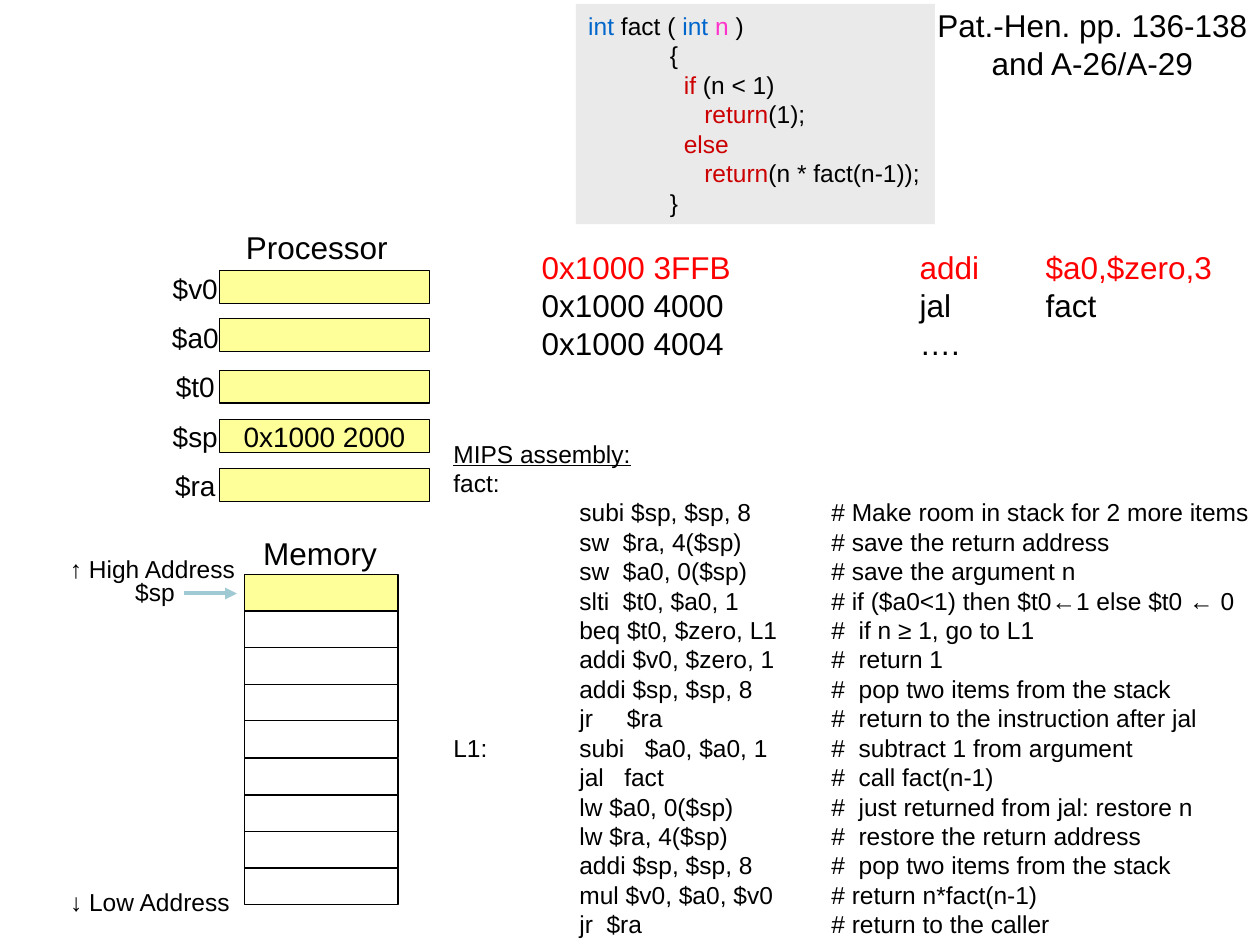
from dataclasses import dataclass

from lxml import etree
from pptx import Presentation
from pptx.dml.color import RGBColor
from pptx.enum.shapes import MSO_CONNECTOR, MSO_SHAPE
from pptx.enum.text import MSO_ANCHOR, PP_ALIGN
from pptx.oxml.ns import qn
from pptx.shapes.autoshape import Shape
from pptx.util import Emu, Pt

RECTANGLE = MSO_SHAPE.RECTANGLE
STRAIGHT = MSO_CONNECTOR.STRAIGHT
MIDDLE = MSO_ANCHOR.MIDDLE
LEFT, CENTER = PP_ALIGN.LEFT, PP_ALIGN.CENTER

EMU_PER_PX = 9144  # 100 px to the inch
FONT = "Arial"
TAB_STOPS = (100, 200, 300, 400)
COLORS = {
    "black": "000000",
    "white": "FFFFFF",
    "yellow": "FFFF99",
    "gray": "EAEAEA",
    "current": "FF0000",
    "type": "0066CC",
    "parameter": "FF33CC",
    "keyword": "CC0000",
    "arrow": "9FCAD3",
}


@dataclass(frozen=True)
class Box:
    left: int
    top: int
    width: int
    height: int


@dataclass(frozen=True)
class Register:
    name: str
    top: int
    value: str = ""


@dataclass(frozen=True)
class Span:
    text: str
    color: str = "black"


REGISTERS = [
    Register("$v0", 215),
    Register("$a0", 253),
    Register("$t0", 294),
    Register("$sp", 333, "0x1000 2000"),
    Register("$ra", 372),
]
NAME_TOP, NAME_STEP = 210, 39.2
CELL_COUNT, CELL_TOP, CELL_STEP = 9, 456, 29.125

CALLER = """0x1000 3FFB\t\taddi\t$a0,$zero,3
0x1000 4000\t\tjal\tfact
0x1000 4004\t\t…."""

ASSEMBLY = """MIPS assembly:
fact:
\tsubi $sp, $sp, 8 \t# Make room in stack for 2 more items
\tsw  $ra, 4($sp)\t# save the return address
\tsw  $a0, 0($sp)\t# save the argument n
\tslti  $t0, $a0, 1\t# if ($a0<1) then $t0←1 else $t0 ← 0
\tbeq $t0, $zero, L1\t#  if n ≥ 1, go to L1
\taddi $v0, $zero, 1\t#  return 1
\taddi $sp, $sp, 8\t#  pop two items from the stack
\tjr     $ra\t#  return to the instruction after jal
L1:\tsubi   $a0, $a0, 1\t#  subtract 1 from argument
\tjal   fact\t#  call fact(n-1)
\tlw $a0, 0($sp)\t#  just returned from jal: restore n
\tlw $ra, 4($sp)\t#  restore the return address
\taddi $sp, $sp, 8\t#  pop two items from the stack
\tmul $v0, $a0, $v0\t# return n*fact(n-1)
\tjr  $ra\t# return to the caller"""
ASSEMBLY_TAB_STOPS = (100, 300)
CALLER_TAB_STOPS = (200, 300, 400)

C_CODE = [
    [Span("int", "type"), Span(" fact ( "), Span("int ", "type"),
     Span("n", "parameter"), Span(" )")],
    [Span("            {")],
    [Span("              "), Span("if", "keyword"), Span(" (n < 1)")],
    [Span("                 "), Span("return", "keyword"), Span("(1);")],
    [Span("              "), Span("else", "keyword")],
    [Span("                 "), Span("return", "keyword"),
     Span("(n * fact(n-1));")],
    [Span("            }")],
]


def px(length: float) -> Emu:
    return Emu(round(length * EMU_PER_PX))


def rgb(color: str) -> RGBColor:
    return RGBColor.from_string(COLORS[color])


def place(box: Box) -> tuple[Emu, Emu, Emu, Emu]:
    return px(box.left), px(box.top), px(box.width), px(box.height)


def format_run(run, size: int, color: str) -> None:
    run.font.name = FONT
    run.font.size = Pt(size)
    run.font.color.rgb = rgb(color)


def set_tab_stops(shape: Shape, stops: tuple[int, ...]) -> None:
    for paragraph in shape.text_frame.paragraphs:
        properties = paragraph._p.get_or_add_pPr()
        tab_list = etree.SubElement(properties, qn("a:tabLst"))
        for stop in stops:
            etree.SubElement(tab_list, qn("a:tab"), pos=str(px(stop)), algn="l")


def prepare_frame(shape: Shape) -> None:
    shape.text_frame.word_wrap = False
    shape.text_frame.vertical_anchor = MIDDLE


def write(shape: Shape, text: str, size: int, align=CENTER) -> None:
    prepare_frame(shape)
    shape.text_frame.text = text
    for paragraph in shape.text_frame.paragraphs:
        paragraph.alignment = align
        for run in paragraph.runs:
            format_run(run, size, "black")


def write_spans(shape: Shape, lines: list[list[Span]], size: int) -> None:
    prepare_frame(shape)
    frame = shape.text_frame
    for index, spans in enumerate(lines):
        paragraph = frame.add_paragraph() if index else frame.paragraphs[0]
        paragraph.alignment = LEFT
        for span in spans:
            run = paragraph.add_run()
            run.text = span.text
            format_run(run, size, span.color)


def add_label(shapes, box: Box, text: str, size: int, align=CENTER) -> Shape:
    label = shapes.add_textbox(*place(box))
    write(label, text, size, align)
    return label


def add_rectangle(shapes, box: Box, fill: str, outlined: bool = True) -> Shape:
    rectangle = shapes.add_shape(RECTANGLE, *place(box))
    rectangle.shadow.inherit = False
    rectangle.fill.solid()
    rectangle.fill.fore_color.rgb = rgb(fill)
    if outlined:
        rectangle.line.color.rgb = rgb("black")
        rectangle.line.width = Pt(0.75)
    else:
        rectangle.line.fill.background()
    return rectangle


def add_arrow(shapes, left: int, right: int, y: int) -> None:
    arrow = shapes.add_connector(STRAIGHT, px(left), px(y), px(right), px(y))
    arrow.line.color.rgb = rgb("arrow")
    arrow.line.width = Pt(2.25)
    etree.SubElement(arrow.line._get_or_add_ln(), qn("a:tailEnd"), type="triangle")
    etree.SubElement(arrow._element.spPr, qn("a:effectLst"))


def draw_processor(shapes) -> None:
    add_label(shapes, Box(185, 176, 133, 40), "Processor", 18)
    for index, register in enumerate(REGISTERS):
        rectangle = add_rectangle(shapes, Box(174, register.top, 167, 26), "yellow")
        if register.value:
            write(rectangle, register.value, 16)
        name_top = round(NAME_TOP + index * NAME_STEP)
        add_label(shapes, Box(125, name_top, 60, 37), register.name, 16)


def draw_memory(shapes) -> None:
    low_address = add_rectangle(shapes, Box(44, 699, 150, 33), "white", False)
    write(low_address, "↓ Low Address", 14)
    for index in range(CELL_COUNT):
        top = round(CELL_TOP + index * CELL_STEP)
        fill = "white" if index else "yellow"
        add_rectangle(shapes, Box(194, top, 122, 29), fill)
    add_arrow(shapes, 146, 188, 471)
    add_label(shapes, Box(97, 453, 52, 33), "$sp", 14)
    add_label(shapes, Box(199, 419, 110, 40), "Memory", 18)
    add_label(shapes, Box(44, 435, 154, 33), "↑ High Address", 14)


def main() -> None:
    presentation = Presentation()
    presentation.slide_width, presentation.slide_height = px(1000), px(750)
    slide = presentation.slides.add_slide(presentation.slide_layouts[6])
    shapes = slide.shapes

    assembly = add_rectangle(shapes, Box(350, 341, 657, 411), "white", False)
    write(assembly, ASSEMBLY, 14, LEFT)
    set_tab_stops(assembly, ASSEMBLY_TAB_STOPS)
    assembly.text_frame.paragraphs[0].runs[0].font.underline = True

    draw_processor(shapes.add_group_shape().shapes)
    caller = add_label(shapes, Box(420, 192, 552, 100), CALLER, 18, LEFT)
    set_tab_stops(caller, CALLER_TAB_STOPS)
    for run in caller.text_frame.paragraphs[0].runs:
        run.font.color.rgb = rgb("current")
    draw_memory(shapes.add_group_shape().shapes)

    citation = add_rectangle(shapes, Box(734, 0, 266, 70), "white", False)
    write(citation, "Pat.-Hen. pp. 136-138\nand A-26/A-29", 18)
    code = add_rectangle(shapes, Box(457, 3, 285, 175), "gray", False)
    write_spans(code, C_CODE, 14)
    presentation.save("out.pptx")


if __name__ == "__main__":
    main()
